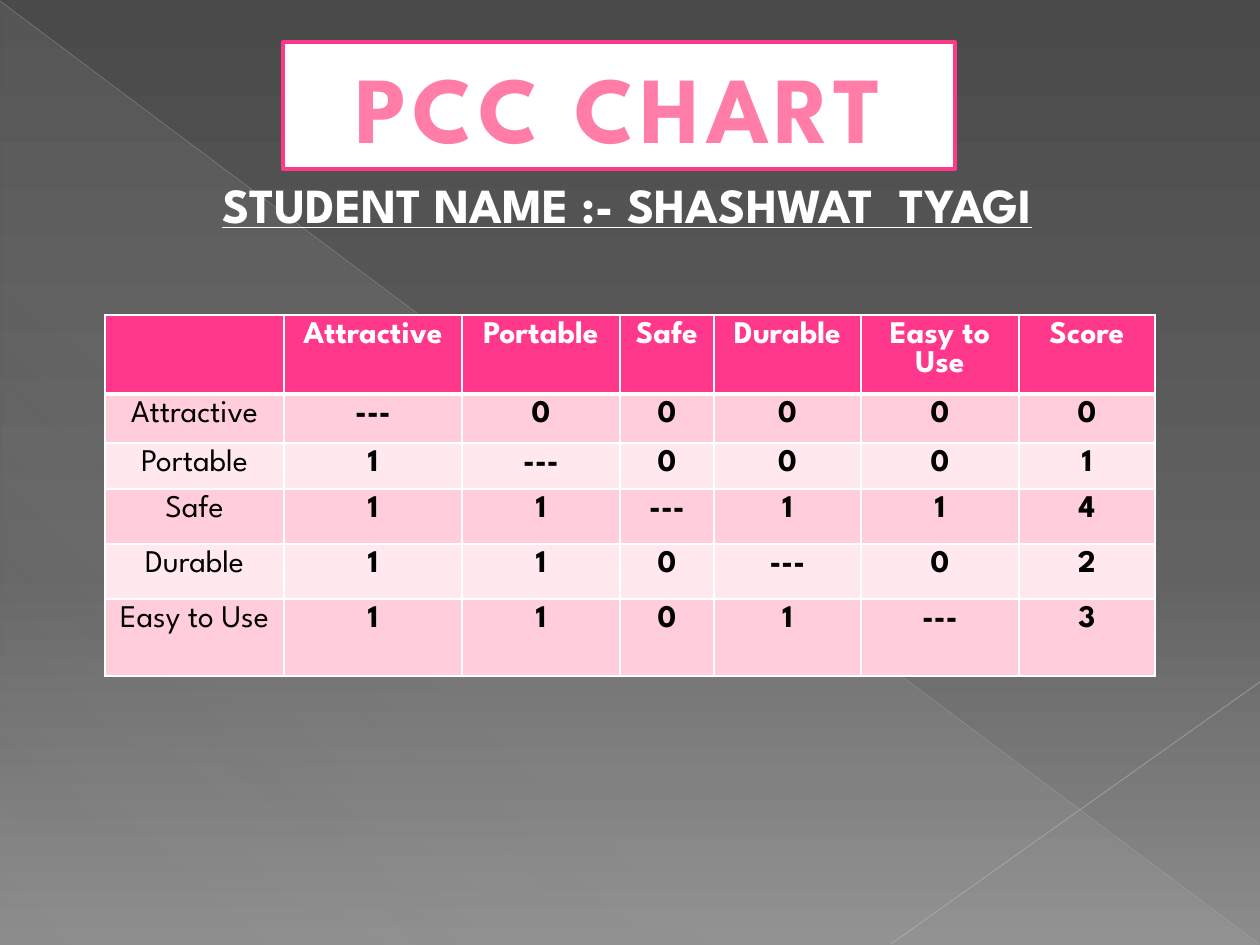
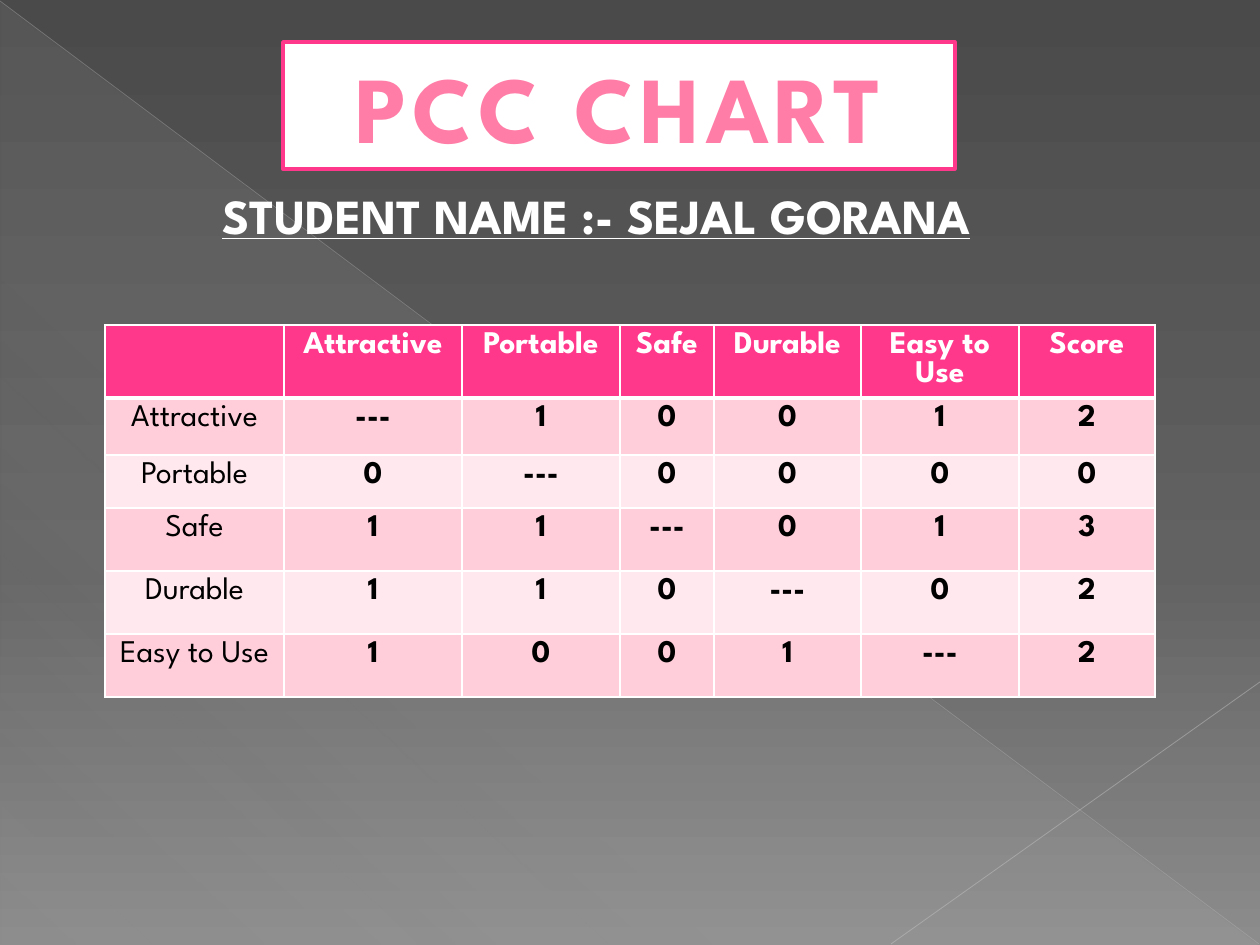
import lxml.etree
import pptx
import pptx.dml.color
import pptx.enum.shapes
import pptx.enum.text
import pptx.oxml
import pptx.oxml.ns
import pptx.util

RGB = pptx.dml.color.RGBColor
WHITE = RGB(0xFF, 0xFF, 0xFF)
BLACK = RGB(0, 0, 0)
HOT_PINK = RGB(0xFF, 0x38, 0x8C)
SOFT_PINK = RGB(0xFF, 0x7D, 0xA7)
DEEP_PINK = RGB(0xE1, 0x05, 0x62)
BLUSH = RGB(0xFF, 0xF4, 0xF7)
ODD_ROW = RGB(0xFF, 0xCE, 0xDA)
EVEN_ROW = RGB(0xFF, 0xE8, 0xEE)
CHARCOAL = RGB(0x4A, 0x4A, 0x4A)
MID_GREY = RGB(0x62, 0x62, 0x62)
LIGHT_GREY = RGB(0x8C, 0x8C, 0x8C)
VEIL_GREY = RGB(0xD2, 0xD2, 0xD2)
LONG_RAY = RGB(0xBF, 0xBF, 0xBF)
SHORT_RAY = RGB(0xC6, 0xC6, 0xC6)

FONT = "League Spartan"
PIXEL = 914400 // 126
PAGE = (1260, 945)
TITLE_BOX = (283, 42, 672, 127)
QUALITIES = ["Attractive", "Portable", "Safe", "Durable", "Easy to Use"]
COLUMN_WIDTHS = [179, 178, 158, 94, 147, 158, 136]


def px(*lengths):
    """Turn pixel lengths into EMU."""
    return [pptx.util.Emu(length * PIXEL) for length in lengths]


def drawing_xml(markup):
    """Parse one DrawingML element whose prefix is a."""
    head, rest = markup.split(" ", 1)
    return pptx.oxml.parse_xml(f'{head} {pptx.oxml.ns.nsdecls("a")} {rest}')


def gradient(stops, angle):
    """Make a linear gradient from (position, colour, opacity) stops in percent."""
    marks = "".join(
        f'<a:gs pos="{position * 1000}"><a:srgbClr val="{colour}">'
        f'<a:alpha val="{opacity * 1000}"/></a:srgbClr></a:gs>'
        for position, colour, opacity in stops)
    return drawing_xml(f'<a:gradFill rotWithShape="1"><a:gsLst>{marks}</a:gsLst>'
                       f'<a:lin ang="{angle * 60000}" scaled="0"/></a:gradFill>')


def use_gradient(fill, holder, stops, angle):
    """Put a gradient in the place of the fill inside its holder."""
    fill.solid()
    solid = holder.find(pptx.oxml.ns.qn("a:solidFill"))
    holder.replace(solid, gradient(stops, angle))


def style(paragraph, size, colour, bold=True):
    """Set the deck's font on a paragraph."""
    paragraph.font.name = FONT
    paragraph.font.size = pptx.util.Pt(size)
    paragraph.font.bold = bold
    paragraph.font.color.rgb = colour


def add_ray(slide, ends, colour, width, opacity):
    """Draw one thin translucent line across the backdrop."""
    ray = slide.shapes.add_connector(pptx.enum.shapes.MSO_CONNECTOR.STRAIGHT, *px(*ends))
    ray.line.color.rgb = colour
    ray.line.width = pptx.util.Pt(width)
    for tint in ray.element.spPr.iter(pptx.oxml.ns.qn("a:srgbClr")):
        lxml.etree.SubElement(tint, pptx.oxml.ns.qn("a:alpha"), val=str(opacity * 1000))
    lxml.etree.SubElement(ray.element.spPr, pptx.oxml.ns.qn("a:effectLst"))


def add_backdrop(slide, width, height):
    """Draw the grey gradient, the triangle veil and the two rays."""
    fill = slide.background.fill
    fill.solid()
    holder = next(slide.element.iter(pptx.oxml.ns.qn("p:bgPr")))
    use_gradient(fill, holder,
                 [(0, CHARCOAL, 100), (60, MID_GREY, 100), (100, LIGHT_GREY, 100)], 90)
    veil = slide.shapes.add_shape(pptx.enum.shapes.MSO_SHAPE.RIGHT_TRIANGLE,
                                  *px(1, 2, width - 2, height - 2))
    veil.shadow.inherit = False
    veil.line.fill.background()
    use_gradient(veil.fill, veil.element.spPr,
                 [(0, VEIL_GREY, 10), (70, VEIL_GREY, 8), (100, VEIL_GREY, 1)], 133)
    add_ray(slide, (0, 1, width - 1, height - 1), LONG_RAY, 0.39, 35)
    add_ray(slide, (width, 682, 891, height - 1), SHORT_RAY, 0.47, 45)


def add_title(slide, box, wording):
    """Draw the white title plate with its pink lettering."""
    plate = slide.shapes.add_shape(pptx.enum.shapes.MSO_SHAPE.RECTANGLE, *px(*box))
    plate.shadow.inherit = False
    plate.fill.solid()
    plate.fill.fore_color.rgb = WHITE
    plate.line.color.rgb = HOT_PINK
    plate.line.width = pptx.util.Pt(2)
    plate.text_frame.vertical_anchor = pptx.enum.text.MSO_ANCHOR.BOTTOM
    heading = plate.text_frame.paragraphs[0]
    heading.alignment = pptx.enum.text.PP_ALIGN.CENTER
    style(heading, 54, SOFT_PINK)
    lettering = heading.add_run()
    lettering.text = wording
    look = lettering.font._element
    look.set("spc", "300")
    look.append(drawing_xml(
        f'<a:ln w="11430"><a:solidFill><a:srgbClr val="{BLUSH}"/></a:solidFill></a:ln>'))
    look.append(gradient([(10, SOFT_PINK, 100), (75, DEEP_PINK, 100)], 90))
    look.append(drawing_xml(
        '<a:effectLst ><a:outerShdw blurRad="25400" dist="25400" dir="2700000">'
        f'<a:srgbClr val="{SOFT_PINK}"><a:alpha val="55000"/></a:srgbClr>'
        '</a:outerShdw></a:effectLst>'))


def add_student(slide, box, student):
    """Write the underlined student line."""
    frame = slide.shapes.add_textbox(*px(*box)).text_frame
    frame.word_wrap = True
    frame.vertical_anchor = pptx.enum.text.MSO_ANCHOR.BOTTOM
    line = frame.paragraphs[0]
    line.text = f"STUDENT NAME :- {student}"
    style(line, 28, WHITE)
    line.font.underline = True


def add_borders(cell, top, bottom):
    """Give a cell white borders, one point wide at the sides."""
    widths = {"lnL": 1, "lnR": 1, "lnT": top, "lnB": bottom}
    for place, (side, width) in enumerate(widths.items()):
        cell._tc.get_or_add_tcPr().insert(place, drawing_xml(
            f'<a:{side} w="{width * 12700}"><a:solidFill><a:srgbClr val="{WHITE}"/>'
            f'</a:solidFill></a:{side}>'))


def add_comparison(slide, left, top, row_heights, votes):
    """Fill the pairwise table; each score is the sum of its row's votes."""
    rows = [["", *QUALITIES, "Score"]]
    for quality, marks in zip(QUALITIES, votes):
        score = sum(int(mark) for mark in marks if mark != "-")
        rows.append([quality, *("---" if mark == "-" else mark for mark in marks), str(score)])
    box = px(left, top, sum(COLUMN_WIDTHS), sum(row_heights))
    table = slide.shapes.add_table(len(rows), len(COLUMN_WIDTHS), *box).table
    table.horz_banding = False
    for column, width in zip(table.columns, px(*COLUMN_WIDTHS)):
        column.width = width
    for row, height in zip(table.rows, px(*row_heights)):
        row.height = height
    for r, wordings in enumerate(rows):
        band = HOT_PINK if r == 0 else ODD_ROW if r % 2 else EVEN_ROW
        for c, wording in enumerate(wordings):
            cell = table.cell(r, c)
            cell.fill.solid()
            cell.fill.fore_color.rgb = band
            add_borders(cell, 3 if r == 1 else 1, 3 if r == 0 else 1)
            entry = cell.text_frame.paragraphs[0]
            entry.text = wording
            entry.alignment = pptx.enum.text.PP_ALIGN.CENTER
            style(entry, 18, BLACK if r else WHITE, r == 0 or c > 0)


def add_pcc_slide(deck, student, student_box, table_top, row_heights, votes):
    """Build one student's pairwise comparison slide."""
    slide = deck.slides.add_slide(deck.slide_layouts[6])
    add_backdrop(slide, *PAGE)
    add_comparison(slide, 105, table_top, row_heights, votes)
    add_title(slide, TITLE_BOX, "PCC CHART")
    add_student(slide, student_box, student)


def main():
    """Build and save the deck."""
    deck = pptx.Presentation()
    deck.slide_width, deck.slide_height = px(*PAGE)
    add_pcc_slide(deck, "SHASHWAT  TYAGI", (210, 168, 869, 72), 315,
                  [79, 49, 46, 55, 55, 77],
                  ["-0000", "1-000", "11-11", "110-0", "1101-"])
    add_pcc_slide(deck, "SEJAL GORANA", (210, 179, 810, 72), 325,
                  [73, 57, 53, 63, 63, 63],
                  ["-1001", "0-000", "11-01", "110-0", "1001-"])
    deck.save("out.pptx")


main()
